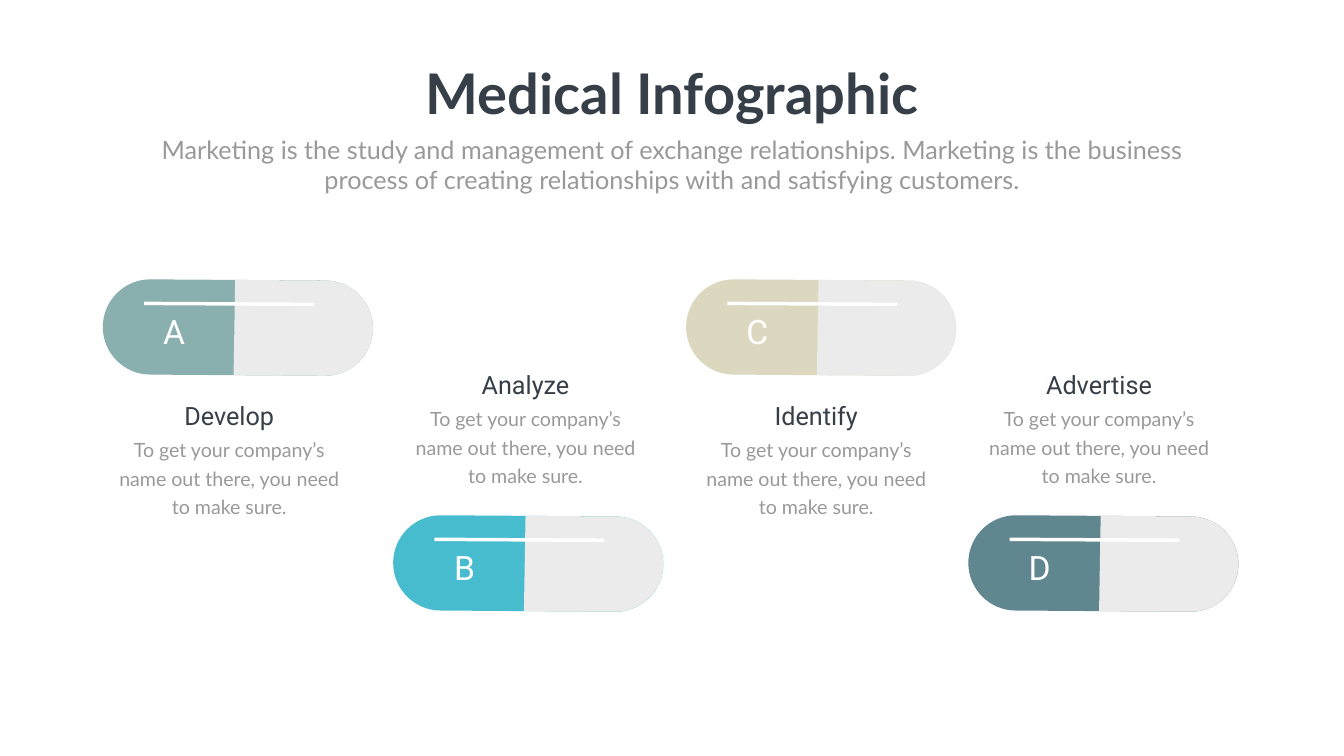
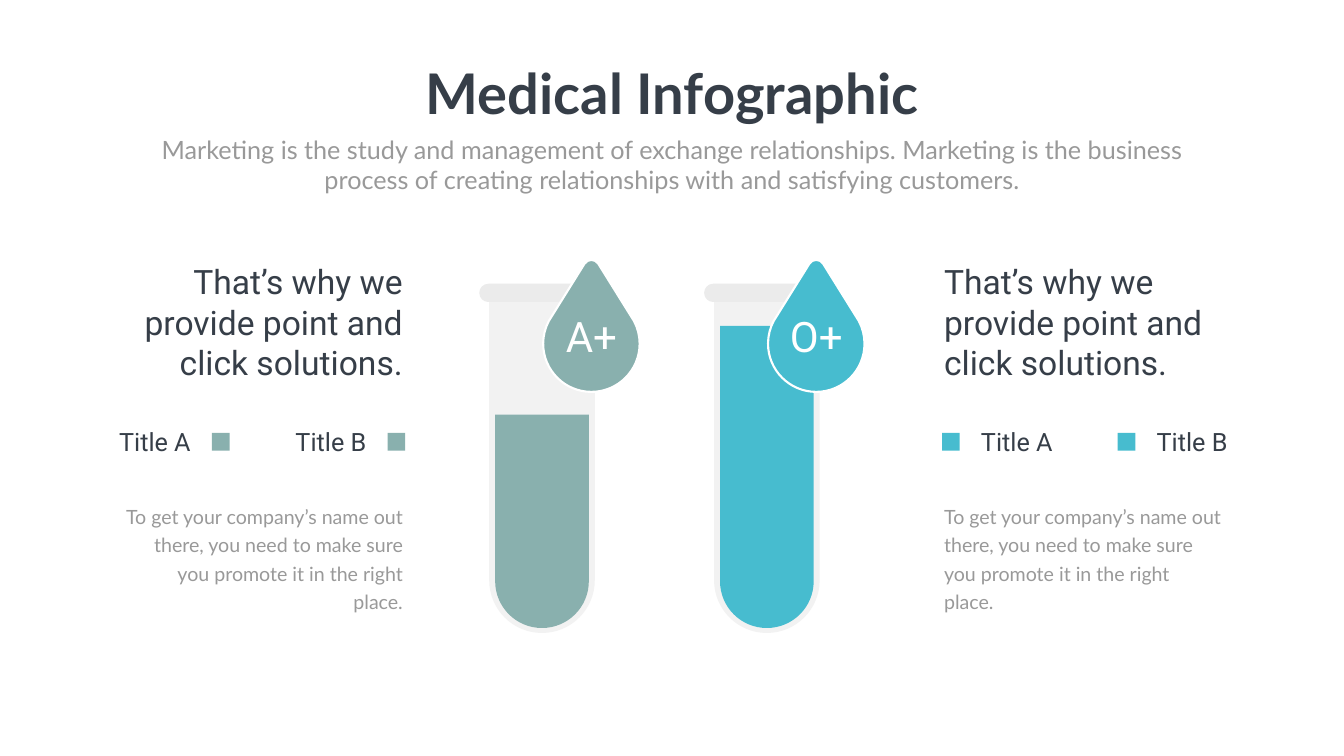
from dataclasses import dataclass
from itertools import chain, islice, pairwise
from math import cos, radians, sin, tan

from pptx import Presentation
from pptx.dml.color import RGBColor
from pptx.enum.shapes import MSO_CONNECTOR, MSO_SHAPE
from pptx.enum.text import MSO_ANCHOR, MSO_AUTO_SIZE, PP_ALIGN
from pptx.oxml.ns import qn
from pptx.oxml.xmlchemy import OxmlElement
from pptx.presentation import Presentation as Deck
from pptx.shapes.autoshape import Shape
from pptx.slide import Slide
from pptx.text.text import TextFrame
from pptx.util import Cm, Pt

LEFT, CENTER, RIGHT = PP_ALIGN.LEFT, PP_ALIGN.CENTER, PP_ALIGN.RIGHT
RECTANGLE = MSO_SHAPE.RECTANGLE
STRAIGHT = MSO_CONNECTOR.STRAIGHT
TOP = MSO_ANCHOR.TOP
NO_AUTOFIT = MSO_AUTO_SIZE.NONE
TITLE_ONLY = 5
CAPSULE_TURN = 20.1

Point = tuple[float, float]
Outline = list[tuple[Point, ...]]  # one point: a corner; three: a Bézier curve


@dataclass(frozen=True)
class TextStyle:
    font: str
    size: int
    colour: str
    bold: bool = False
    spacing: float | None = None


@dataclass(frozen=True)
class Theme:
    sage: str = "89B0AE"
    cyan: str = "47BCCF"
    sand: str = "DBD8BF"
    slate: str = "60878F"
    shell: str = "EBEBEB"
    glass: str = "F2F2F2"
    white: str = "FFFFFF"
    title: TextStyle = TextStyle("Lato", 80, "363E48", bold=True)
    subtitle: TextStyle = TextStyle("Lato", 36, "999999")
    body: TextStyle = TextStyle("Lato", 28, "999999", spacing=40.8)
    heading: TextStyle = TextStyle("Roboto", 36, "363E48")
    statement: TextStyle = TextStyle("Roboto", 48, "363E48")
    letter: TextStyle = TextStyle("Roboto", 48, "FFFFFF")
    blood_type: TextStyle = TextStyle("Roboto", 60, "FFFFFF")


THEME = Theme()


@dataclass(frozen=True)
class Capsule:
    """A pill, placed by the centre of its left cap, with its caption."""
    letter: str
    heading: str
    colour: str
    x: float
    y: float
    caption_center: float
    caption_top: float


@dataclass(frozen=True)
class Tube:
    blood_type: str
    colour: str
    center: float
    liquid_top: float


@dataclass(frozen=True)
class Panel:
    """Text beside the tubes, aligned on its inner edge."""
    edge: float
    align: PP_ALIGN
    colour: str
    first_swatch: float


TITLE = "Medical Infographic"
SUBTITLE = ("Marketing is the study and management of exchange relationships. "
            "Marketing is the business process of creating relationships "
            "with and satisfying customers.")
CAPSULE_BODY = "To get your company’s name out there, you need to make sure."
PANEL_STATEMENT = "That’s why we provide point and click solutions."
PANEL_BODY = ("To get your company’s name out there, you need to make sure "
              "you promote it in the right place.")
PANEL_LABELS = ("Title A", "Title B")

UPPER, LOWER = 16.51, 28.4
CAPSULES = (
    Capsule("A", "Develop", THEME.sage, 7.58, UPPER, 11.55, 20.04),
    Capsule("B", "Analyze", THEME.cyan, 22.21, LOWER, 26.48, 18.49),
    Capsule("C", "Identify", THEME.sand, 36.97, UPPER, 41.13, 20.04),
    Capsule("D", "Advertise", THEME.slate, 51.19, LOWER, 55.38, 18.49),
)
TUBES = (
    Tube("A+", THEME.sage, 27.31, 20.9),
    Tube("O+", THEME.cyan, 38.64, 16.43),
)
PANELS = (
    Panel(20.55, RIGHT, THEME.sage, 10.68),
    Panel(47.32, LEFT, THEME.cyan, 47.47),
)


def write(frame: TextFrame, text: str, style: TextStyle, align: PP_ALIGN) -> None:
    para = frame.paragraphs[0]
    para.alignment = align
    if style.spacing:
        para.line_spacing = Pt(style.spacing)
    span = para.add_run()
    span.text = text
    span.font.name = style.font
    span.font.size = Pt(style.size)
    span.font.bold = style.bold
    span.font.color.rgb = RGBColor.from_string(style.colour)


def add_text(slide: Slide, text: str, style: TextStyle, left: float, top: float,
             width: float, height: float, align: PP_ALIGN = CENTER) -> None:
    box = slide.shapes.add_textbox(Cm(left), Cm(top), Cm(width), Cm(height))
    box.text_frame.word_wrap = True
    write(box.text_frame, text, style, align)


def paint(shape: Shape, colour: str, outline: str | None = None) -> None:
    shape.shadow.inherit = False
    shape.fill.solid()
    shape.fill.fore_color.rgb = RGBColor.from_string(colour)
    if outline:
        shape.line.color.rgb = RGBColor.from_string(outline)
        shape.line.width = Pt(3)
    else:
        shape.line.fill.background()


def arc(x: float, y: float, radius: float, *angles: int) -> Outline:
    """Circular curves through the angles, clockwise from the right."""
    def at(angle: float, along: float = 0) -> Point:
        return (x + radius * (cos(angle) - along * sin(angle)),
                y + radius * (sin(angle) + along * cos(angle)))

    turns = [radians(angle) for angle in angles]
    curves: Outline = [(at(turns[0]),)]
    for start, end in pairwise(turns):
        reach = 4 / 3 * tan((end - start) / 4)
        curves.append((at(start, reach), at(end, -reach), at(end)))
    return curves


def rotate(point: Point, degrees: float) -> Point:
    """Turn a point clockwise about the slide's corner."""
    (x, y), angle = point, radians(degrees)
    return x * cos(angle) - y * sin(angle), x * sin(angle) + y * cos(angle)


def bend(shape: Shape, outline: Outline) -> None:
    """Turn the control polygon of each curve into a real curve."""
    corners = iter(list(shape.element.iter(qn("a:lnTo"))))
    for segment in outline[1:]:
        group = list(islice(corners, len(segment)))
        if len(group) == 3:
            curve = OxmlElement("a:cubicBezTo")
            group[0].addprevious(curve)
            for corner in group:
                curve.append(corner[0])
                corner.getparent().remove(corner)


def add_outline(slide: Slide, outline: Outline, colour: str,
                border: str | None = None, turn: float = 0) -> None:
    """Draw a closed outline inside a frame turned by the given degrees."""
    points = [rotate(point, -turn) for point in chain.from_iterable(outline)]
    corners = [(Cm(x), Cm(y)) for x, y in points]
    builder = slide.shapes.build_freeform(*corners[0])
    builder.add_line_segments(corners[1:], close=True)
    shape = builder.convert_to_shape()
    bend(shape, outline)
    if turn:
        half_width, half_height = shape.width / 2, shape.height / 2
        x, y = rotate((shape.left + half_width, shape.top + half_height), turn)
        shape.left, shape.top = round(x - half_width), round(y - half_height)
        shape.rotation = turn
    paint(shape, colour, border)


def add_highlight(slide: Slide, start: Point, end: Point) -> None:
    line = slide.shapes.add_connector(STRAIGHT, *map(Cm, start + end))
    line.line.color.rgb = RGBColor.from_string(THEME.white)
    line.line.width = Pt(5)
    line.element.spPr.append(OxmlElement("a:effectLst"))


def add_capsule(slide: Slide, capsule: Capsule) -> None:
    radius, length, tilt = 2.4, 8.81, 0.03
    x, y = capsule.x, capsule.y
    left_cap = arc(x, y - tilt, radius, 90, 180, 270)
    right_cap = arc(x + length, y + tilt, radius, -90, 0, 90)
    split: Outline = [((x + 4.19, y + radius),), ((x + 4.27, y - radius),)]
    add_outline(slide, left_cap + right_cap, capsule.colour, turn=CAPSULE_TURN)
    add_outline(slide, split + right_cap, THEME.shell, turn=CAPSULE_TURN)
    add_highlight(slide, (x + 8.24, y - 1.17), (x - 0.32, y - 1.22))
    add_text(slide, capsule.letter, THEME.letter, x - 0.06, y - 0.96, 2.51, 2.31)

    center, top = capsule.caption_center, capsule.caption_top
    add_text(slide, CAPSULE_BODY, THEME.body, center - 6.06, top + 1.65, 12.12, 4.5)
    add_text(slide, capsule.heading, THEME.heading, center - 7.26, top, 14.52, 1.8)


def add_vessel(slide: Slide, center: float, radius: float, top: float,
               bottom: float, colour: str) -> None:
    """Draw a flat-topped column with a round bottom."""
    rim: Outline = [((center - radius, top),), ((center + radius, top),)]
    base = arc(center, bottom - radius, radius, 0, 90, 180)
    add_outline(slide, rim + base, colour)


def add_tube(slide: Slide, tube: Tube) -> None:
    center = tube.center
    add_vessel(slide, center, 2.66, 15.21, 31.9, THEME.glass)
    add_vessel(slide, center, 2.36, tube.liquid_top, 31.65, tube.colour)
    lip_y, lip_radius, lip_reach = 14.76, 0.46, 2.7
    lip = (arc(center - lip_reach, lip_y, lip_radius, 90, 180, 270)
           + arc(center + lip_reach, lip_y, lip_radius, -90, 0, 90))
    add_outline(slide, lip, THEME.shell)

    drop_x = center + 2.49
    drop = (arc(drop_x, 17.32, 2.43, -28, 0, 90, 180, 208)
            + arc(drop_x, 13.51, 0.41, 212, 328))
    add_outline(slide, drop, tube.colour, THEME.white)
    add_text(slide, tube.blood_type, THEME.blood_type, drop_x - 1.96, 15.51, 3.92, 2.82)


def add_panel(slide: Slide, panel: Panel) -> None:
    def start(edge: float, width: float) -> float:
        return edge - width if panel.align == RIGHT else edge

    for text, style, top, width, height in (
            (PANEL_STATEMENT, THEME.statement, 13.04, 15.6, 6.4),
            (PANEL_BODY, THEME.body, 25.06, 14.55, 4.5)):
        add_text(slide, text, style, start(panel.edge, width), top, width, height,
                 panel.align)

    side, gap, step, label_width = 0.89, 0.82, 8.85, 6.3
    for index, label in enumerate(PANEL_LABELS):
        x = panel.first_swatch + index * step
        swatch = slide.shapes.add_shape(RECTANGLE, Cm(x), Cm(21.82), Cm(side), Cm(side))
        paint(swatch, panel.colour)
        label_edge = x - gap if panel.align == RIGHT else x + side + gap
        add_text(slide, label, THEME.heading, start(label_edge, label_width), 21.36,
                 label_width, 1.8, panel.align)


def add_titled_slide(deck: Deck) -> Slide:
    slide = deck.slides.add_slide(deck.slide_layouts[TITLE_ONLY])
    title = slide.shapes.title
    title.left, title.top, title.width, title.height = map(Cm, (20.93, 2.84, 25.88, 3.68))
    frame = title.text_frame
    frame.word_wrap = False
    frame.auto_size = NO_AUTOFIT
    frame.vertical_anchor = TOP
    write(frame, TITLE, THEME.title, CENTER)
    add_text(slide, SUBTITLE, THEME.subtitle, 7.42, 6.63, 52.88, 3.33)
    return slide


def main() -> None:
    deck = Presentation()
    deck.slide_width, deck.slide_height = Cm(67.72), Cm(38.1)

    capsule_slide = add_titled_slide(deck)
    for capsule in CAPSULES:
        add_capsule(capsule_slide, capsule)

    tube_slide = add_titled_slide(deck)
    for tube in TUBES:
        add_tube(tube_slide, tube)
    for panel in PANELS:
        add_panel(tube_slide, panel)

    deck.save("out.pptx")


if __name__ == "__main__":
    main()
